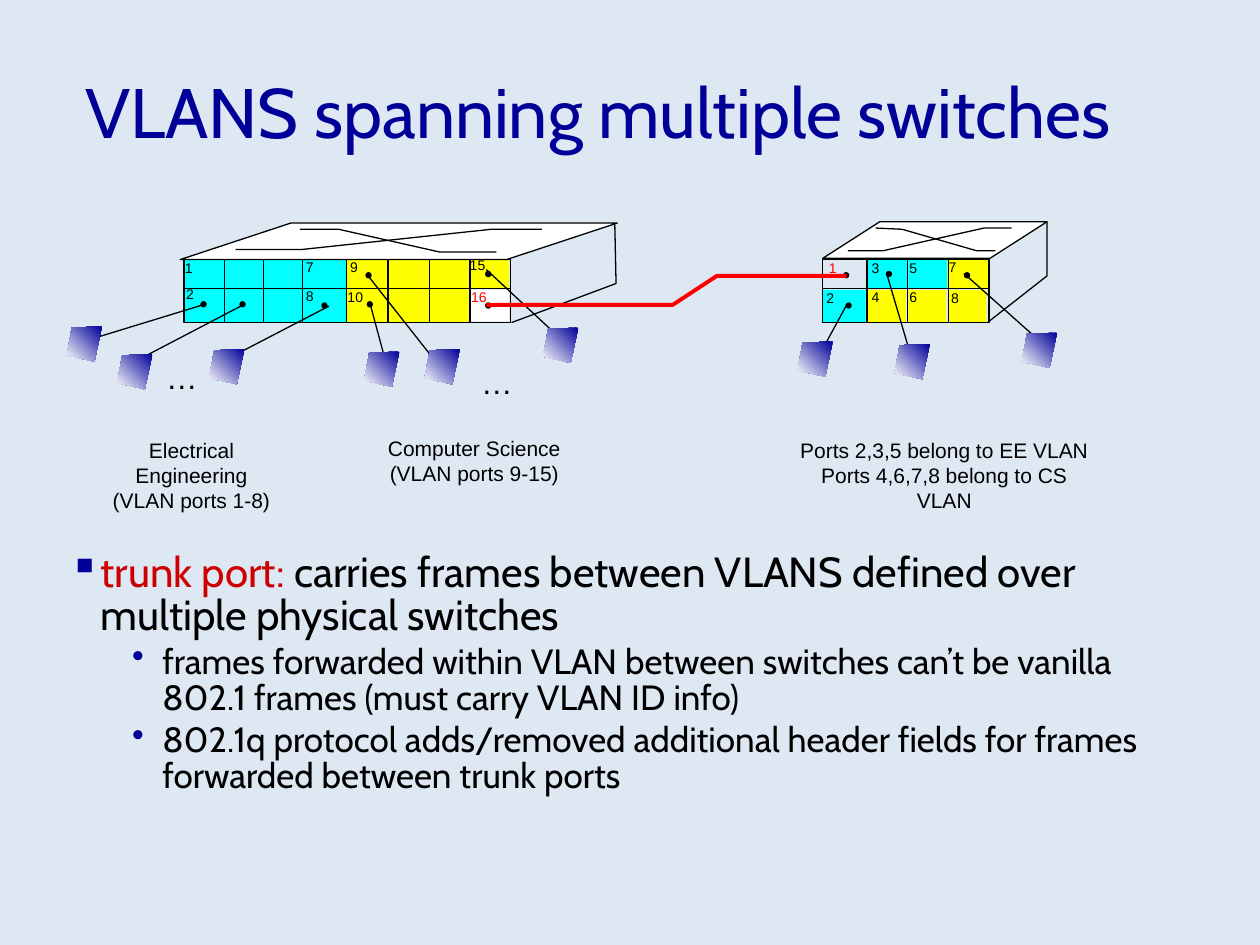
from dataclasses import dataclass

from lxml import etree
from pptx import Presentation
from pptx import util as u
from pptx.dml.color import RGBColor
from pptx.enum import shapes, text
from pptx.oxml.ns import qn


@dataclass(frozen=True)
class Theme:
    background: str = "DEE8F3"
    navy: str = "000099"
    black: str = "000000"
    white: str = "FFFFFF"
    term: str = "CC0000"
    trunk: str = "FF0000"
    ee: str = "00FFFF"
    cs: str = "FFFF00"
    body_font: str = "Cabin"
    label_font: str = "Arial"
    title_size: int = 40
    body_sizes: tuple = (24, 20)
    ellipsis_size: int = 18
    label_size: int = 12
    port_size: int = 8
    thin: float = 0.75
    thick: float = 2.25


THEME = Theme()


def inches(*values):
    return [u.Inches(value) for value in values]


class Drawing:
    """Holds the style and the slide being drawn."""

    def __init__(self, slide, theme):
        self.slide, self.theme = slide, theme
        self.shapes = slide.shapes
        slide.background.fill.solid()
        slide.background.fill.fore_color.rgb = RGBColor.from_string(theme.background)

    def style(self, shape, fill=None, line=None, width=None):
        shape.shadow.inherit = False
        if fill:
            shape.fill.solid()
            shape.fill.fore_color.rgb = RGBColor.from_string(fill)
        else:
            shape.fill.background()
        if line:
            shape.line.color.rgb = RGBColor.from_string(line)
            shape.line.width = u.Pt(width or self.theme.thin)
        else:
            shape.line.fill.background()
        return shape

    def font(self, target, name, size, color):
        target.font.name, target.font.size = name, u.Pt(size)
        target.font.color.rgb = RGBColor.from_string(color)

    def shape(self, kind, box, fill=None, line=None):
        return self.style(self.shapes.add_shape(kind, *inches(*box)), fill, line)

    def outline(self, points, fill=None, line=None, width=None, close=False):
        start, *rest = [inches(*point) for point in points]
        builder = self.shapes.build_freeform(*start)
        builder.add_line_segments(rest, close=close)
        return self.style(builder.convert_to_shape(), fill, line, width)

    def line(self, start, end):
        connector = self.shapes.add_connector(
            shapes.MSO_CONNECTOR.STRAIGHT, *inches(*start, *end))
        connector.line.color.rgb = RGBColor.from_string(self.theme.black)
        connector.line.width = u.Pt(self.theme.thin)
        properties = connector._element.find(qn("p:spPr"))
        etree.SubElement(properties, qn("a:effectLst"))

    def label(self, lines, box, size, color=None, wrap=False, centred=False):
        frame = self.shapes.add_textbox(*inches(*box)).text_frame
        frame.word_wrap = wrap
        frame.text = "\n".join(lines)
        for paragraph in frame.paragraphs:
            if centred:
                paragraph.alignment = text.PP_ALIGN.CENTER
            self.font(paragraph, self.theme.label_font, size, color or self.theme.black)

    def port_number(self, number, left, top, color=None):
        width = 0.26 if number < 10 else 0.33
        self.label([str(number)], (left, top, width, 0.23), self.theme.port_size, color)

    def dot(self, left, top):
        self.shape(shapes.MSO_SHAPE.OVAL, (left, top, 0.05, 0.05), self.theme.black)

    def host(self, left, top):
        corners = [(0.28, 0), (0.04, 0.01), (0, 0.23), (0.22, 0.28)]
        shape = self.outline([(left + x, top + y) for x, y in corners], close=True)
        shape.fill.gradient()
        shape.fill.gradient_angle = 225
        for stop, color, position in zip(
                shape.fill.gradient_stops, (self.theme.navy, self.theme.white), (0, 1)):
            stop.color.rgb = RGBColor.from_string(color)
            stop.position = position

    def title(self, words, box):
        title = self.slide.shapes.title
        title.left, title.top, title.width, title.height = inches(*box)
        frame = title.text_frame
        frame.text = words
        frame.auto_size = text.MSO_AUTO_SIZE.NONE
        frame.vertical_anchor = text.MSO_ANCHOR.MIDDLE
        paragraph = frame.paragraphs[0]
        paragraph.alignment = text.PP_ALIGN.LEFT
        self.font(paragraph, self.theme.body_font, self.theme.title_size, self.theme.navy)

    def bullets(self, items, box):
        frame = self.shapes.add_textbox(*inches(*box)).text_frame
        frame.word_wrap = True
        for index, (level, runs) in enumerate(items):
            paragraph = frame.paragraphs[0] if index == 0 else frame.add_paragraph()
            paragraph.level = level
            paragraph.line_spacing = 0.85
            size = self.theme.body_sizes[level]
            if index:
                paragraph.space_before = u.Pt(size * 0.2)
            margin, indent, symbol = [(0.25, -0.25, "▪"), (0.74, -0.24, "•")][level]
            properties = paragraph._p.get_or_add_pPr()
            properties.set("marL", str(u.Inches(margin)))
            properties.set("indent", str(u.Inches(indent)))
            color = etree.SubElement(properties, qn("a:buClr"))
            etree.SubElement(color, qn("a:srgbClr"), val=self.theme.navy)
            etree.SubElement(properties, qn("a:buChar"), char=symbol)
            for words, run_color in runs:
                run = paragraph.add_run()
                run.text = words
                self.font(run, self.theme.body_font, size, run_color)

    def switch(self, ports, edges, lid, slant, side, arrows):
        """Port colours, grid, lid, right side and the crossing lines on the lid."""
        black, top, middle, bottom = self.theme.black, 2.06, 2.29, 2.56
        for color, *box in ports:
            self.shape(shapes.MSO_SHAPE.RECTANGLE, box, color)
        left, right = edges[0], edges[-1]
        self.shape(shapes.MSO_SHAPE.RECTANGLE,
                   (left, top, right - left, bottom - top), line=black)
        self.line((left, middle), (right, middle))
        for x in edges[1:-1]:
            self.line((x, top), (x, bottom))
        cover = self.shape(shapes.MSO_SHAPE.PARALLELOGRAM, lid, self.theme.white, black)
        cover.adjustments[0] = slant
        for points in (side, *arrows):
            self.outline(points, line=black)


def build():
    presentation = Presentation()
    presentation.slide_width, presentation.slide_height = inches(10, 7.5)
    slide = presentation.slides.add_slide(presentation.slide_layouts[5])
    drawing = Drawing(slide, THEME)
    ee, cs, white, black = THEME.ee, THEME.cs, THEME.white, THEME.black

    drawing.title("VLANS spanning multiple switches", (0.58, 0.25, 8.5, 1.25))

    # 16-port switch
    drawing.switch(
        [(ee, 1.46, 2.06, 0.32, 0.5), (ee, 1.77, 2.06, 0.98, 0.5),
         (cs, 2.75, 2.06, 0.97, 0.5), (cs, 3.72, 2.06, 0.32, 0.23),
         (white, 3.73, 2.3, 0.31, 0.25)],
        [1.46, 1.78, 2.09, 2.4, 2.75, 3.08, 3.41, 3.73, 4.05],
        (1.43, 1.77, 3.47, 0.29), 3.03, [(4.06, 2.56), (4.89, 2.25), (4.88, 1.77)],
        [[(1.87, 1.98), (2.4, 1.98), (3.9, 1.82), (4.3, 1.82)],
         [(2.38, 1.82), (2.69, 1.82), (3.49, 2), (3.94, 2)]])

    # 8-port switch
    drawing.switch(
        [(ee, 6.53, 2.3, 0.34, 0.26), (ee, 6.89, 2.06, 0.31, 0.23),
         (ee, 7.21, 2.06, 0.31, 0.23), (cs, 7.52, 2.06, 0.32, 0.23)]
        + [(cs, left, 2.3, 0.3, 0.26) for left in (6.89, 7.21, 7.53)],
        [6.53, 6.88, 7.2, 7.53, 7.85],
        (6.53, 1.76, 1.78, 0.29), 1.56, [(8.31, 1.76), (8.31, 2.19), (7.85, 2.55)],
        [[(6.73, 1.99), (7.01, 1.99), (7.81, 1.81), (8.03, 1.81)],
         [(6.95, 1.81), (7.16, 1.82), (7.75, 1.99), (7.9, 1.99)]])

    # Hosts: port dot, cable start, cable end, host corner
    for dot, start, end, host in [
            ((1.59, 2.39), (1.61, 2.42), (0.63, 2.72), (0.53, 2.59)),
            ((1.9, 2.39), (1.93, 2.42), (1.05, 2.88), (0.93, 2.81)),
            ((2.55, 2.4), (2.61, 2.43), (1.84, 2.83), (1.66, 2.77)),
            ((2.91, 2.39), (2.94, 2.42), (3.05, 2.83), (2.89, 2.79)),
            ((2.9, 2.16), (2.93, 2.2), (3.45, 2.86), (3.37, 2.77)),
            ((3.85, 2.15), (3.86, 2.14), (4.43, 2.67), (4.31, 2.6)),
            ((6.71, 2.4), (6.72, 2.42), (6.54, 2.75), (6.33, 2.71)),
            ((7.03, 2.15), (7.04, 2.18), (7.24, 2.86), (7.1, 2.73)),
            ((7.65, 2.16), (7.65, 2.17), (8.21, 2.67), (8.11, 2.64))]:
        drawing.line(start, end)
        drawing.dot(*dot)
        drawing.host(*host)

    # Port numbers
    for number, left, top in [
            (1, 1.37, 2.01), (2, 1.38, 2.22), (7, 2.33, 2), (8, 2.33, 2.23),
            (9, 2.68, 2), (10, 2.66, 2.24), (15, 3.63, 1.99),
            (2, 6.46, 2.25), (3, 6.82, 2.01), (4, 6.82, 2.24), (5, 7.12, 2.01),
            (6, 7.12, 2.24), (7, 7.43, 2), (8, 7.45, 2.25)]:
        drawing.port_number(number, left, top)

    # Trunk link between port 16 and port 1
    for number, left, top, dot in [(16, 3.64, 2.24, (3.85, 2.4)), (1, 6.48, 2.01, (6.69, 2.16))]:
        drawing.dot(*dot)
        drawing.port_number(number, left, top, THEME.trunk)
    drawing.outline([(3.86, 2.42), (5.34, 2.42), (5.69, 2.19), (6.72, 2.19)],
                    line=THEME.trunk, width=THEME.thick)

    # Captions
    for left, top in [(1.22, 2.79), (3.72, 2.83)]:
        drawing.label(["…"], (left, top, 0.45, 0.4), THEME.ellipsis_size)
    for lines, box, wrap in [
            (["Electrical Engineering", "(VLAN ports 1-8)"], (0.67, 3.42, 1.7, 0.7), True),
            (["Computer Science", "(VLAN ports 9-15)"], (2.98, 3.41, 1.57, 0.5), False),
            (["Ports 2,3,5 belong to EE VLAN", "Ports 4,6,7,8 belong to CS VLAN"],
             (6.18, 3.42, 2.63, 0.5), False)]:
        drawing.label(lines, box, THEME.label_size, wrap=wrap, centred=True)

    # Explanation
    drawing.bullets([
        (0, [("trunk port: ", THEME.term),
             ("carries frames between VLANS defined over multiple physical switches", black)]),
        (1, [("frames forwarded within VLAN between switches can’t be vanilla "
              "802.1 frames (must carry VLAN ID info)", black)]),
        (1, [("802.1q protocol adds/removed additional header fields for frames "
              "forwarded between trunk ports", black)]),
    ], (0.45, 4.34, 9.07, 2.94))

    presentation.save("out.pptx")


if __name__ == "__main__":
    build()
